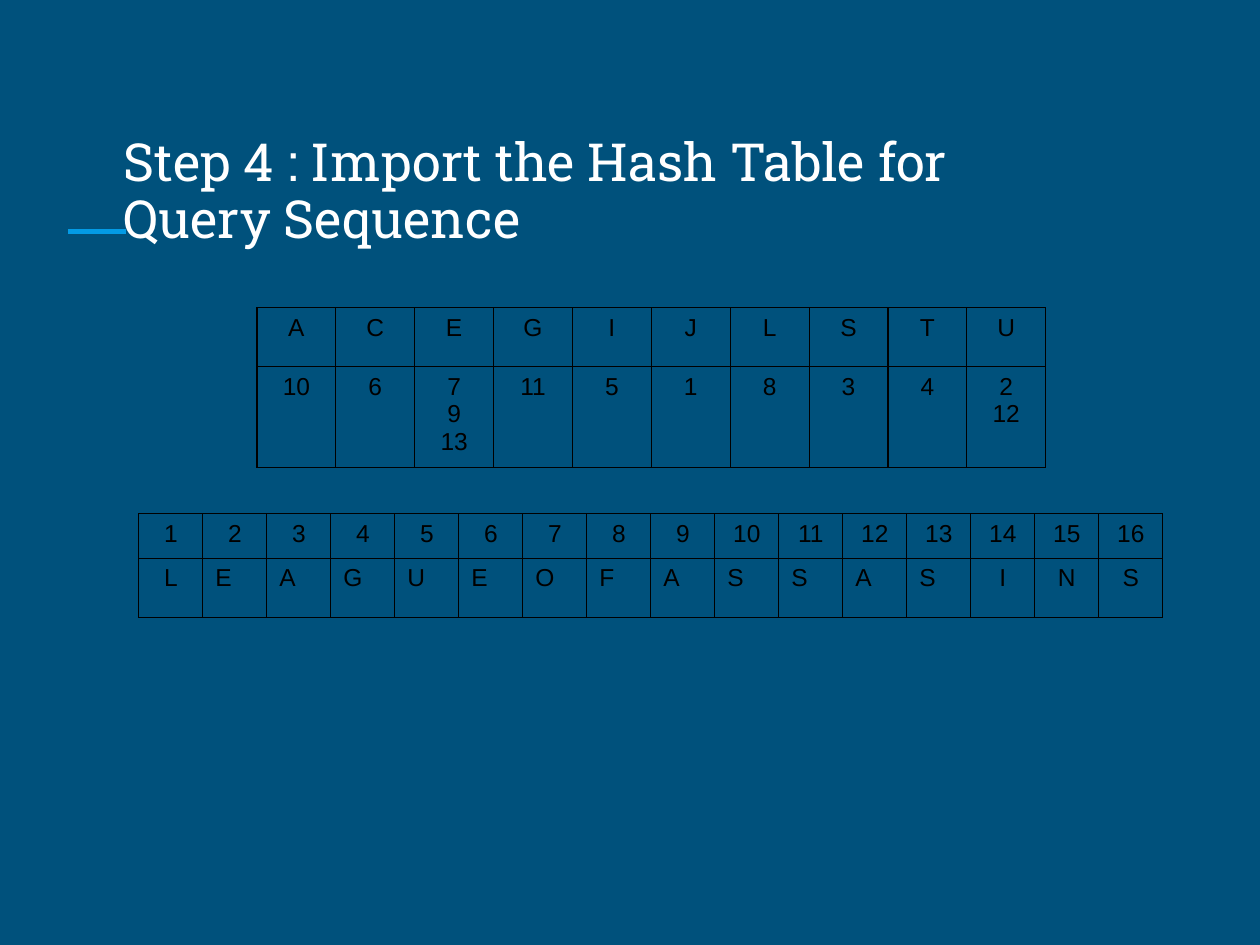
from dataclasses import dataclass

from lxml.etree import SubElement
from pptx import Presentation
from pptx.dml.color import RGBColor
from pptx.enum.shapes import MSO_CONNECTOR as Link
from pptx.enum.text import MSO_ANCHOR as Anchor, MSO_AUTO_SIZE as Fit, PP_ALIGN as Align
from pptx.oxml.ns import qn
from pptx.util import Cm, Pt

NAVY, SKY, WHITE, BLACK = "00517C", "039BE5", "FFFFFF", "000000"


@dataclass
class Grid:
    """A table: place and sizes in cm, cell texts by row, left-aligned cells."""
    left: float
    top: float
    col: float
    rows: list[float]
    cells: list[list[str]]
    flush: range = range(0)  # columns of the last row that align left


def paint(fmt, code: str) -> None:
    """Give a fill a solid colour."""
    fmt.solid()
    fmt.fore_color.rgb = RGBColor.from_string(code)


def write(frame, text: str, *, font: str = "Arial", size: float = 14,
          color: str = BLACK, align=Align.CENTER, gap: float = 1.0) -> None:
    """Write text into a frame, one paragraph a line."""
    frame.text = text
    for para in frame.paragraphs:
        para.alignment, para.line_spacing = align, gap
        para.font.name, para.font.size = font, Pt(size)
        para.font.bold = False
        para.font.color.rgb = RGBColor.from_string(color)


def frame_cell(cell, color: str = BLACK, width: float = 0.75) -> None:
    """Draw the four borders of a cell and leave it unfilled."""
    props = cell._tc.get_or_add_tcPr()
    for side in ("lnL", "lnR", "lnT", "lnB"):
        edge = SubElement(props, qn(f"a:{side}"), w=str(Pt(width)))
        fill = SubElement(edge, qn("a:solidFill"))
        SubElement(fill, qn("a:srgbClr"), val=color)
    cell.fill.background()


def draw_grid(slide, grid: Grid) -> None:
    count = len(grid.cells[0])
    table = slide.shapes.add_table(
        len(grid.rows), count, Cm(grid.left), Cm(grid.top),
        Cm(grid.col * count), Cm(sum(grid.rows))).table
    table.first_row = table.horz_banding = False
    for col in table.columns:
        col.width = Cm(grid.col)
    last = len(grid.rows) - 1
    for r, (high, texts) in enumerate(zip(grid.rows, grid.cells)):
        table.rows[r].height = Cm(high)
        for c, text in enumerate(texts):
            cell = table.cell(r, c)
            left = r == last and c in grid.flush
            write(cell.text_frame, text, align=Align.LEFT if left else Align.CENTER)
            frame_cell(cell)


def draw_rule(slide, left: float, right: float, top: float) -> None:
    """Draw the accent line behind everything else."""
    rule = slide.shapes.add_connector(Link.STRAIGHT, Cm(left), Cm(top), Cm(right), Cm(top))
    paint(rule.line.fill, SKY)
    rule.line.width = Pt(3)
    SubElement(rule._element.spPr, qn("a:effectLst"))
    slide.shapes._spTree.insert(2, rule._element)


def draw_title(slide, text: str) -> None:
    title = slide.shapes.title
    title.left, title.top, title.width, title.height = Cm(2.24), Cm(3.81), Cm(19.23), Cm(1.47)
    frame = title.text_frame
    frame.word_wrap, frame.auto_size = True, Fit.NONE
    frame.vertical_anchor = Anchor.BOTTOM
    frame.margin_left = frame.margin_right = Cm(0.25)
    frame.margin_top = frame.margin_bottom = Cm(0.25)
    write(frame, text, font="Roboto Slab", size=30, color=WHITE, align=Align.LEFT, gap=0.9)


# Letters of the sequence under their positions
SEQUENCE = Grid(2.8, 10.36, 1.29, [0.89, 1.2],
                [[str(n) for n in range(1, 17)], list("LEAGUEOFASSASINS")],
                flush=range(1, 13))

# Positions of each letter in the query
HASH = Grid(5.18, 6.2, 1.59, [1.19, 2.03],
            [list("ACEGIJLSTU"),
             ["10", "6", "7\n9\n13", "11", "5", "1", "8", "3", "4", "2\n12"]])


def main() -> None:
    deck = Presentation()
    deck.slide_width, deck.slide_height = Cm(25.4), Cm(19.05)
    slide = deck.slides.add_slide(deck.slide_layouts[5])
    paint(slide.background.fill, NAVY)

    # Heading
    draw_rule(slide, 1.37, 2.54, 4.67)
    draw_title(slide, "Step 4 : Import the Hash Table for Query Sequence")

    # Tables
    for grid in (SEQUENCE, HASH):
        draw_grid(slide, grid)

    deck.save("out.pptx")


if __name__ == "__main__":
    main()
